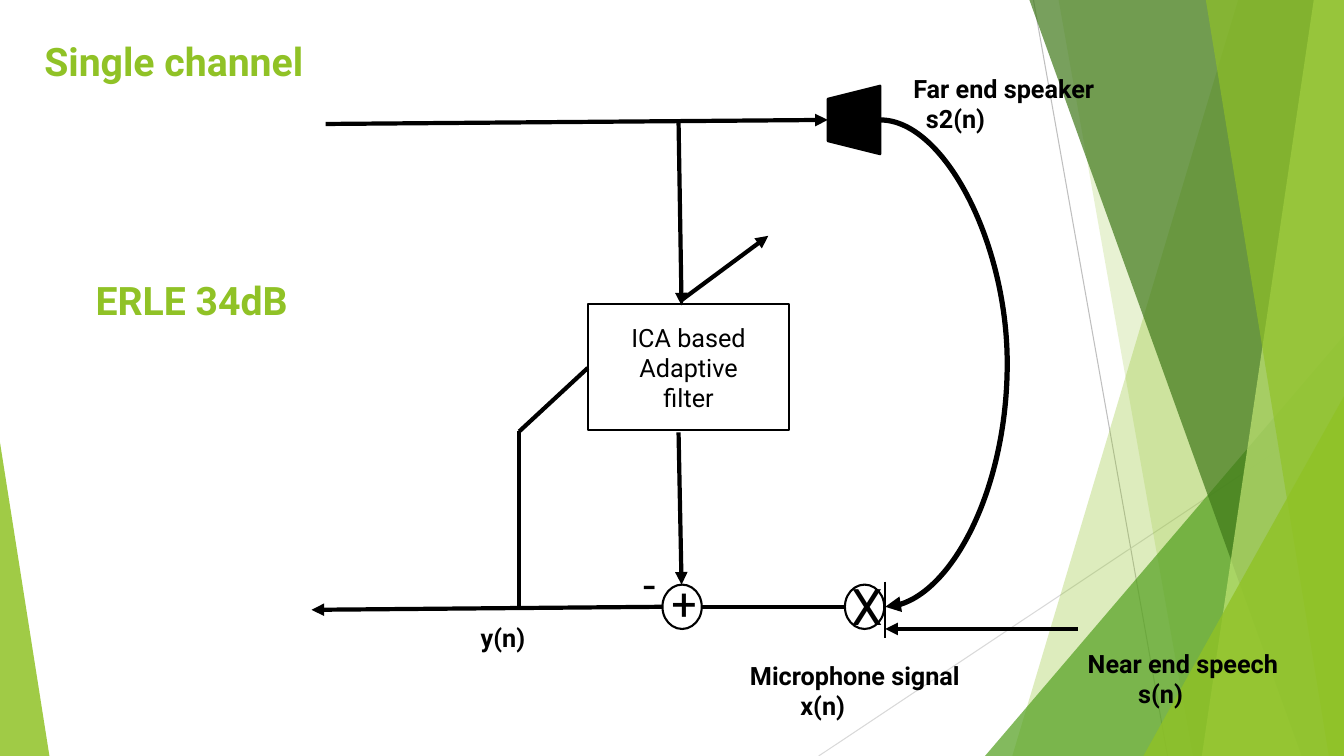
import pptx
import pptx.util
import pptx.dml.color
import pptx.enum.dml
import pptx.enum.shapes
import pptx.enum.text
import pptx.oxml
import pptx.oxml.ns
import lxml.etree

SHAPE = pptx.enum.shapes.MSO_SHAPE
CONNECTOR = pptx.enum.shapes.MSO_CONNECTOR
ALIGN = pptx.enum.text.PP_ALIGN
ANCHOR = pptx.enum.text.MSO_ANCHOR
AUTO_SIZE = pptx.enum.text.MSO_AUTO_SIZE

theme = {
    "font": "Roboto",
    "black": "000000", "white": "FFFFFF",
    "lime": "90C226", "pale lime": "C0E474", "green": "54A021", "forest": "3F7819",
    "grey": "BFBFBF", "light grey": "D9D9D9",
    "heading": 28, "label": 18, "plus": 32, "cross": 36,
    "hairline": 0.75, "outline": 1.5, "signal": 3, "echo": 3.75,
}

presentation = pptx.Presentation()
presentation.slide_width = pptx.util.Inches(13.33)
presentation.slide_height = pptx.util.Inches(7.5)
slide = presentation.slides.add_slide(presentation.slide_layouts[5])

# The grid has 75 rows; its columns are as wide as the rows are high
cell = presentation.slide_height / 75
right, bottom = 133.3, 75


def grid(*counts):
    return [round(count * cell) for count in counts]


def write(shape, lines, size, color, bold=False, align=ALIGN.LEFT, anchor=ANCHOR.TOP, indent=0):
    """Fill a shape with lines; those after the first are indented."""
    frame = shape.text_frame
    frame.word_wrap = True
    frame.auto_size = AUTO_SIZE.NONE
    frame.vertical_anchor = anchor
    frame.text = "\n".join(lines)
    for number, paragraph in enumerate(frame.paragraphs):
        paragraph.alignment = align
        if number and indent:
            paragraph._p.get_or_add_pPr().set("marL", str(grid(indent)[0]))
        font_format = {"name": theme["font"], "size": pptx.util.Pt(theme[size]), "bold": bold}
        for name, value in font_format.items():
            setattr(paragraph.font, name, value)
        paragraph.font.color.rgb = pptx.dml.color.RGBColor.from_string(theme[color])


# Lines: start, end, colour, weight, arrowhead, kind
background_lines = [
    ((102.5, 0), (115.8, bottom), "grey", "hairline", False),
    ((right, 40.3), (81.2, bottom), "light grey", "hairline", False),
]
signal_lines = [
    ((87.8, 57.7), (87.8, 63.3), "black", "outline", False),
    ((32.3, 12.3), (82.1, 11.9), "black", "signal", True),
    ((51.5, 60.5), (51.5, 42.8), "black", "signal", False),
    ((51.5, 42.8), (58.3, 36.5), "black", "signal", False),
    ((67.7, 29.7), (76.2, 23.4), "black", "signal", True),
    ((67.3, 12.1), (67.6, 30.3), "black", "signal", True),
    ((67.3, 42.9), (67.6, 58), "black", "signal", True),
    ((87.3, 11.9), (87.8, 60.2), "black", "echo", True),
    ((106.9, 62.4), (87.8, 62.4), "black", "signal", True),
    ((65.7, 60.2), (30.9, 60.5), "black", "signal", True),
    ((83.8, 60.2), (69.6, 60.2), "black", "signal", False),
]

# Slanted panels (top left, bottom left) and triangles (box, apex) of the background
facets = [
    ("panel", (122.8, 100.4), "lime", 30),
    ("panel", (105, 118.3), "lime", 20),
    ("triangle", (97.7, 33.3, 35.6, 41.7, 1), "green", 72),
    ("panel", (102.1, 129.1), "forest", 70),
    ("panel", (130.3, 119.2), "pale lime", 70),
    ("panel", (119.6, 131.8), "lime", 65),
    ("triangle", (113.4, 39.3, 19.9, 35.7, 1), "lime", 80),
    ("triangle", (0, 43.9, 4.9, 31.1, 0), "lime", 85),
]

# Blocks of the diagram: preset, box, fill, rotation
blocks = [
    (SHAPE.TRAPEZOID, (81.3, 9.3, 6.8, 5.2), "black", 270),
    (SHAPE.OVAL, (83.8, 58, 3.9, 4.4), None, 0),
    (SHAPE.OVAL, (65.7, 58, 3.9, 4.4), None, 0),
    (SHAPE.RECTANGLE, (58.3, 30.2, 20, 12.5), "white", 0),
]

# Draw the background first, then the blocks, then the signals
for stage in ("background", "signals"):
    for start, end, color, weight, arrow in background_lines if stage == "background" else signal_lines:
        kind = CONNECTOR.CURVE if weight == "echo" else CONNECTOR.STRAIGHT
        line = slide.shapes.add_connector(kind, *grid(*start, *end))
        line.line.width = pptx.util.Pt(theme[weight])
        line.line.color.rgb = pptx.dml.color.RGBColor.from_string(theme[color])
        properties = line._element.spPr
        lxml.etree.SubElement(properties, pptx.oxml.ns.qn("a:effectLst"))
        if arrow:
            head = lxml.etree.SubElement(line.line._get_or_add_ln(), pptx.oxml.ns.qn("a:tailEnd"))
            head.set("type", "triangle")
        if weight == "echo":
            # The curve bulges right to column 99.9
            bulge = round((99.9 - start[0]) / (end[0] - start[0]) * 100000)
            geometry = properties.find(pptx.oxml.ns.qn("a:prstGeom"))
            values = geometry.find(pptx.oxml.ns.qn("a:avLst"))
            guide = lxml.etree.SubElement(values, pptx.oxml.ns.qn("a:gd"))
            guide.set("name", "adj1")
            guide.set("fmla", f"val {bulge}")
    if stage == "signals":
        continue

    for kind, place, color, opacity in facets:
        if kind == "panel":
            top_left, bottom_left = place
            outline = slide.shapes.build_freeform(*grid(top_left, 0))
            corners = [(right, 0), (right, bottom), (bottom_left, bottom)]
            outline.add_line_segments([grid(*corner) for corner in corners], close=True)
            facet = outline.convert_to_shape()
        else:
            facet = slide.shapes.add_shape(SHAPE.ISOSCELES_TRIANGLE, *grid(*place[:4]))
            facet.adjustments[0] = place[4]
        facet.shadow.inherit = False
        facet.line.fill.background()
        facet.fill.solid()
        facet.fill.fore_color.rgb = pptx.dml.color.RGBColor.from_string(theme[color])
        tint = facet._element.spPr.find(".//" + pptx.oxml.ns.qn("a:srgbClr"))
        lxml.etree.SubElement(tint, pptx.oxml.ns.qn("a:alpha")).set("val", str(opacity * 1000))

    for preset, box, fill, rotation in blocks:
        block = slide.shapes.add_shape(preset, *grid(*box))
        block.rotation = rotation
        block.shadow.inherit = False
        block.line.width = pptx.util.Pt(theme["outline"])
        block.line.color.rgb = pptx.dml.color.RGBColor.from_string(theme["black"])
        if fill:
            block.fill.solid()
            block.fill.fore_color.rgb = pptx.dml.color.RGBColor.from_string(theme[fill])
        else:
            block.fill.background()
        if preset == SHAPE.RECTANGLE:
            write(block, ["ICA based", "Adaptive", "filter"], "label", "black",
                  align=ALIGN.CENTER, anchor=ANCHOR.MIDDLE)

# Title
title = slide.shapes.title
for name, value in zip(("left", "top", "width", "height"), grid(3.4, 3.2, 64.9, 5.7)):
    setattr(title, name, value)
write(title, ["Single channel"], "heading", "lime", bold=True)

# Labels: box, lines, size, colour, bold, indent of the second line
labels = [
    ((65.6, 56.6, 4, 6.4), ["+"], "plus", "black", False, 0),
    ((83.5, 56.6, 4.6, 7.1), ["X"], "cross", "black", False, 0),
    ((62.8, 54.7, 4, 6.4), ["-"], "plus", "black", False, 0),
    ((89.6, 6.8, 23.4, 7.1), ["Far end speaker", "s2(n)"], "label", "black", True, 1.25),
    ((106.9, 63.8, 23.4, 7.1), ["Near end speech", "s(n)"], "label", "black", True, 5),
    ((73.4, 65, 23.4, 7.1), ["Microphone signal", "x(n)"], "label", "black", True, 5),
    ((46.7, 61.2, 23.4, 4), ["y(n)"], "label", "black", True, 0),
    ((8.5, 26.9, 64.9, 5.7), ["ERLE 34dB"], "heading", "lime", True, 0),
]
for box, lines, size, color, bold, indent in labels:
    label = slide.shapes.add_textbox(*grid(*box))
    write(label, lines, size, color, bold=bold, indent=indent)

presentation.save("out.pptx")
